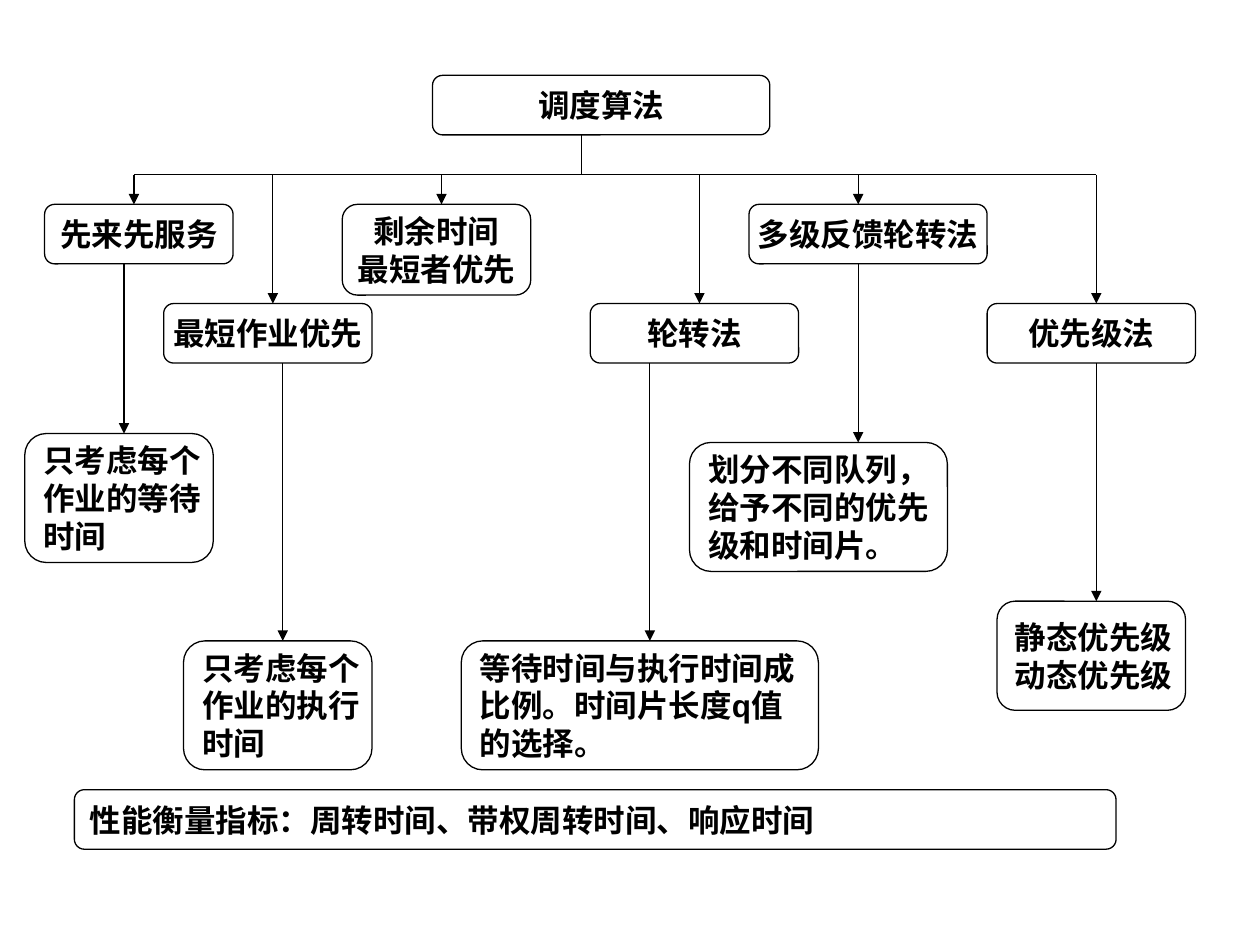
from dataclasses import dataclass

from lxml.etree import SubElement
from pptx import Presentation
from pptx.dml.color import RGBColor
from pptx.enum.shapes import MSO_CONNECTOR, MSO_SHAPE
from pptx.enum.text import MSO_ANCHOR, PP_ALIGN
from pptx.oxml.ns import qn
from pptx.util import Cm, Pt


@dataclass(frozen=True)
class Theme:
    ink: RGBColor = RGBColor(0, 0, 0)
    paper: RGBColor = RGBColor(255, 255, 255)
    font: str = "Arial"
    size: Pt = Pt(18)
    line: Pt = Pt(0.75)


class TreeSlide:
    """Draws the boxes and arrows of a tree on one slide, in centimetres."""

    def __init__(self, slide, theme):
        self.shapes = slide.shapes
        self.theme = theme

    def box(self, text, x, y, w, h, align=PP_ALIGN.LEFT):
        sp = self.shapes.add_shape(
            MSO_SHAPE.ROUNDED_RECTANGLE, Cm(x), Cm(y), Cm(w), Cm(h))
        sp.shadow.inherit = False
        sp.fill.solid()
        sp.fill.fore_color.rgb = self.theme.paper
        sp.line.color.rgb = self.theme.ink
        sp.line.width = self.theme.line
        tf = sp.text_frame
        tf.word_wrap = False
        tf.vertical_anchor = MSO_ANCHOR.MIDDLE
        tf.text = text
        for p in tf.paragraphs:
            p.alignment = align
            for r in p.runs:
                r.font.name = self.theme.font
                r.font.size = self.theme.size
                r.font.bold = True
                r.font.color.rgb = self.theme.ink

    def line(self, x1, y1, x2, y2, arrow=False):
        cx = self.shapes.add_connector(
            MSO_CONNECTOR.STRAIGHT, Cm(x1), Cm(y1), Cm(x2), Cm(y2))
        cx.line.color.rgb = self.theme.ink
        cx.line.width = self.theme.line
        if arrow:
            SubElement(cx.line._get_or_add_ln(), qn("a:tailEnd"), type="triangle")
        SubElement(cx._element.spPr, qn("a:effectLst"))

    def arrow_down(self, x, top, bottom):
        self.line(x, top, x, bottom, arrow=True)


BAR_H, DETAIL_H = 1.2, 2.6
ROOT_Y, BUS_Y, UPPER_Y, LOWER_Y = 1.52, 3.52, 4.12, 6.12

METHODS = [
    ("先来先服务", 2.7, 0.9, UPPER_Y, 3.8, BAR_H),
    ("最短作业优先", 5.5, 3.3, LOWER_Y, 4.2, BAR_H),
    ("剩余时间\n最短者优先", 8.9, 6.9, UPPER_Y, 3.8, 1.83),
    ("轮转法", 14.1, 11.9, LOWER_Y, 4.2, BAR_H),
    ("多级反馈轮转法", 17.3, 15.1, UPPER_Y, 4.8, BAR_H),
    ("优先级法", 22.1, 19.9, LOWER_Y, 4.2, BAR_H),
]
DETAILS = [
    ("只考虑每个\n作业的等待\n时间", 2.5, UPPER_Y, 0.5, 8.74, 3.8, DETAIL_H),
    ("只考虑每个\n作业的执行\n时间", 5.7, LOWER_Y, 3.7, 12.92, 3.8, DETAIL_H),
    ("等待时间与执行时间成\n比例。时间片长度q值\n的选择。",
     13.1, LOWER_Y, 9.3, 12.92, 7.2, DETAIL_H),
    ("划分不同队列，\n给予不同的优先\n级和时间片。",
     17.3, UPPER_Y, 13.9, 8.92, 5.2, DETAIL_H),
    ("静态优先级\n动态优先级", 22.1, LOWER_Y, 20.1, 12.12, 3.8, 2.2),
]


def main():
    prs = Presentation()
    prs.slide_width, prs.slide_height = Cm(25.4), Cm(19.05)
    s = TreeSlide(prs.slides.add_slide(prs.slide_layouts[6]), Theme())

    s.box("调度算法", 8.72, ROOT_Y, 6.8, BAR_H, PP_ALIGN.CENTER)
    s.line(11.72, ROOT_Y + BAR_H, 11.72, BUS_Y)
    s.line(METHODS[0][1], BUS_Y, METHODS[-1][1], BUS_Y)
    for text, drop_x, x, y, w, h in METHODS:
        s.arrow_down(drop_x, BUS_Y, y)
        s.box(text, x, y, w, h, PP_ALIGN.CENTER)
    for text, drop_x, method_y, x, y, w, h in DETAILS:
        s.arrow_down(drop_x, method_y + BAR_H, y)
        s.box(text, x, y, w, h)
    s.box("性能衡量指标：周转时间、带权周转时间、响应时间", 1.5, 15.92, 21, BAR_H)

    prs.save("out.pptx")


if __name__ == "__main__":
    main()
